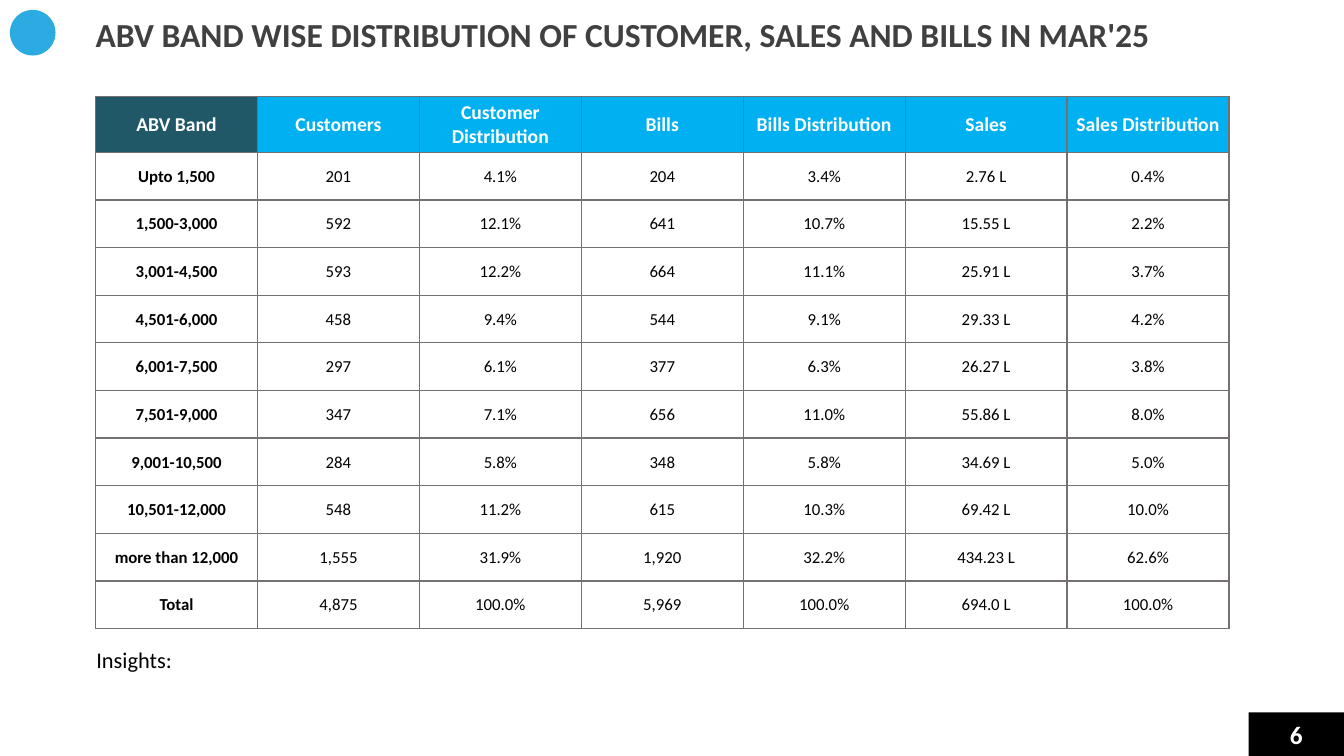
"""Build the ABV band distribution slide with python-pptx."""
import pptx
import pptx.util
import pptx.dml.color
import pptx.enum.shapes
import pptx.enum.text
import pptx.oxml
import pptx.oxml.ns

Cm = pptx.util.Cm
RGBColor = pptx.dml.color.RGBColor
CENTER = pptx.enum.text.PP_ALIGN.CENTER
LEFT = pptx.enum.text.PP_ALIGN.LEFT
MIDDLE = pptx.enum.text.MSO_ANCHOR.MIDDLE
SHAPE = pptx.enum.shapes.MSO_SHAPE

WHITE = RGBColor(0xFF, 0xFF, 0xFF)
BLACK = RGBColor(0x00, 0x00, 0x00)
TITLE_GREY = RGBColor(0x40, 0x40, 0x40)
BORDER_GREY = RGBColor(0x76, 0x71, 0x71)
TEAL = RGBColor(0x20, 0x58, 0x68)
SKY = RGBColor(0x00, 0xB0, 0xF0)
DOT_BLUE = RGBColor(0x2C, 0xAA, 0xE2)

HEADERS = ["ABV Band", "Customers", "Customer Distribution", "Bills",
           "Bills Distribution", "Sales", "Sales Distribution"]
BANDS = [
    ["Upto 1,500", "201", "4.1%", "204", "3.4%", "2.76 L", "0.4%"],
    ["1,500-3,000", "592", "12.1%", "641", "10.7%", "15.55 L", "2.2%"],
    ["3,001-4,500", "593", "12.2%", "664", "11.1%", "25.91 L", "3.7%"],
    ["4,501-6,000", "458", "9.4%", "544", "9.1%", "29.33 L", "4.2%"],
    ["6,001-7,500", "297", "6.1%", "377", "6.3%", "26.27 L", "3.8%"],
    ["7,501-9,000", "347", "7.1%", "656", "11.0%", "55.86 L", "8.0%"],
    ["9,001-10,500", "284", "5.8%", "348", "5.8%", "34.69 L", "5.0%"],
    ["10,501-12,000", "548", "11.2%", "615", "10.3%", "69.42 L", "10.0%"],
    ["more than 12,000", "1,555", "31.9%", "1,920", "32.2%", "434.23 L", "62.6%"],
    ["Total", "4,875", "100.0%", "5,969", "100.0%", "694.0 L", "100.0%"],
]


def write(tf, text, size, color, bold=False, align=LEFT):
    """Put one formatted run in the first paragraph and return the paragraph."""
    p = tf.paragraphs[0]
    p.alignment = align
    r = p.add_run()
    r.text = text
    font = {"name": "Calibri", "size": pptx.util.Pt(size), "bold": bold}
    for name, value in font.items():
        setattr(r.font, name, value)
    r.font.color.rgb = color
    return p


def add_border(cell):
    """Draw a thin grey line on all four sides of a table cell."""
    for side in ("lnL", "lnR", "lnT", "lnB"):
        cell._tc.get_or_add_tcPr().append(pptx.oxml.parse_xml(
            f'<a:{side} {pptx.oxml.ns.nsdecls("a")} w="12700"><a:solidFill>'
            f'<a:srgbClr val="{BORDER_GREY}"/></a:solidFill></a:{side}>'))


prs = pptx.Presentation()
prs.slide_width, prs.slide_height = Cm(33.87), Cm(19.05)
s = prs.slides.add_slide(prs.slide_layouts[6])

dot = s.shapes.add_shape(SHAPE.OVAL, Cm(0.25), Cm(0.25), Cm(1.15), Cm(1.15))
number = s.shapes.add_shape(SHAPE.RECTANGLE, Cm(31.47), Cm(17.95), Cm(2.4), Cm(1.1))
for sp, color in ((dot, DOT_BLUE), (number, BLACK)):
    sp.shadow.inherit = False
    sp.fill.solid()
    sp.fill.fore_color.rgb = color
    sp.line.fill.background()
number.text_frame.vertical_anchor = MIDDLE
write(number.text_frame, "6", 18, WHITE, True, CENTER)

tf = s.shapes.add_textbox(Cm(2.41), Cm(0.43), Cm(28.04), Cm(0.97)).text_frame
title_format = {"word_wrap": True, "vertical_anchor": MIDDLE, "margin_left": 0,
                "margin_right": 0, "margin_top": Cm(0.03), "margin_bottom": 0}
for name, value in title_format.items():
    setattr(tf, name, value)
p = write(tf, "ABV BAND WISE DISTRIBUTION OF CUSTOMER, SALES AND BILLS IN MAR'25",
          24, TITLE_GREY, True)
p.line_spacing = 0.9

rows = [HEADERS] + BANDS
table = s.shapes.add_table(len(rows), len(HEADERS), Cm(2.41), Cm(2.44),
                           Cm(28.6), Cm(13.4)).table
table.first_row = table.horz_banding = False
for column in table.columns:
    column.width = Cm(4.08)
for i, row in enumerate(table.rows):
    row.height = Cm(1.2 if i else 1.4)

cell_format = {"vertical_anchor": MIDDLE, "margin_left": Cm(0.02),
               "margin_right": Cm(0.02), "margin_top": Cm(0.02), "margin_bottom": 0}
for i, values in enumerate(rows):
    for j, value in enumerate(values):
        cell = table.cell(i, j)
        for name, setting in cell_format.items():
            setattr(cell, name, setting)
        add_border(cell)
        if i == 0:
            cell.fill.solid()
            cell.fill.fore_color.rgb = SKY if j else TEAL
            write(cell.text_frame, value, 14, WHITE, True, CENTER)
        else:
            cell.fill.background()
            write(cell.text_frame, value, 12, BLACK, j == 0, CENTER)

tf = s.shapes.add_textbox(Cm(2.18), Cm(16.15), Cm(28.83), Cm(0.94)).text_frame
tf.word_wrap = True
write(tf, "Insights:", 16, BLACK)

prs.save("out.pptx")
